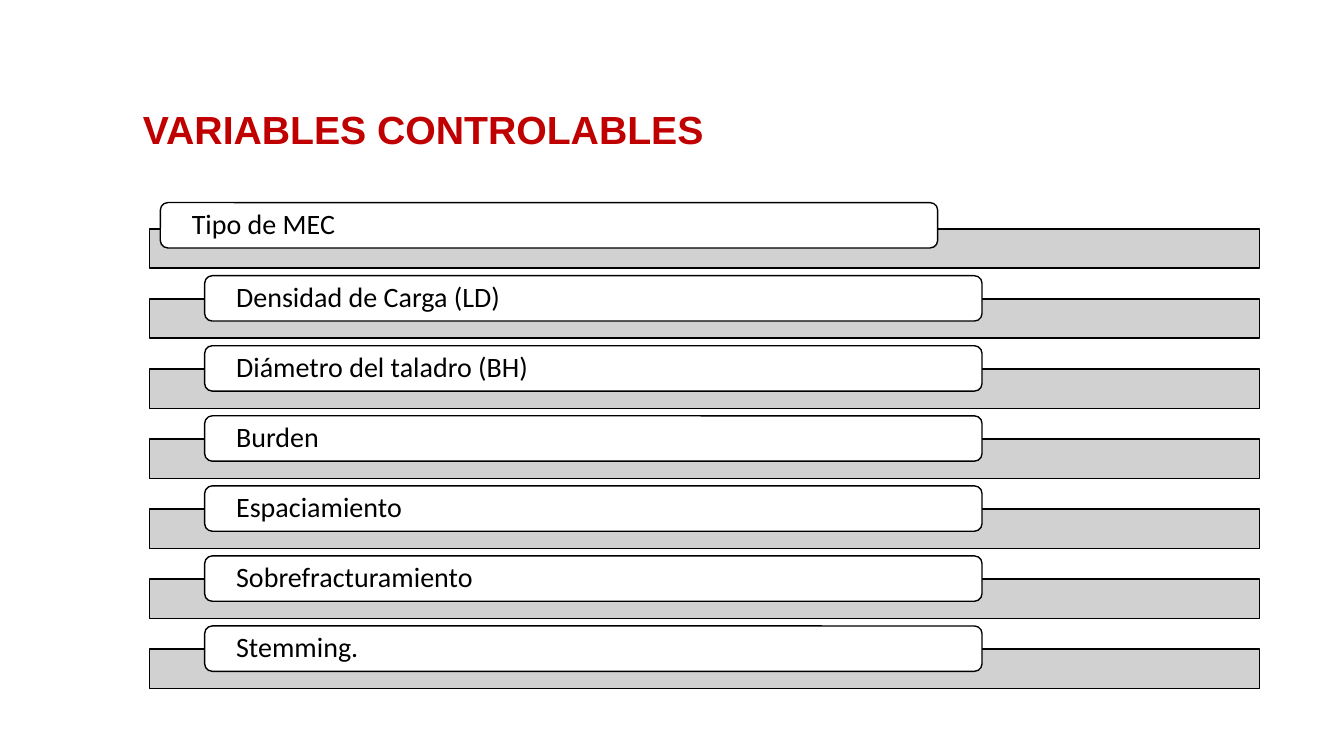
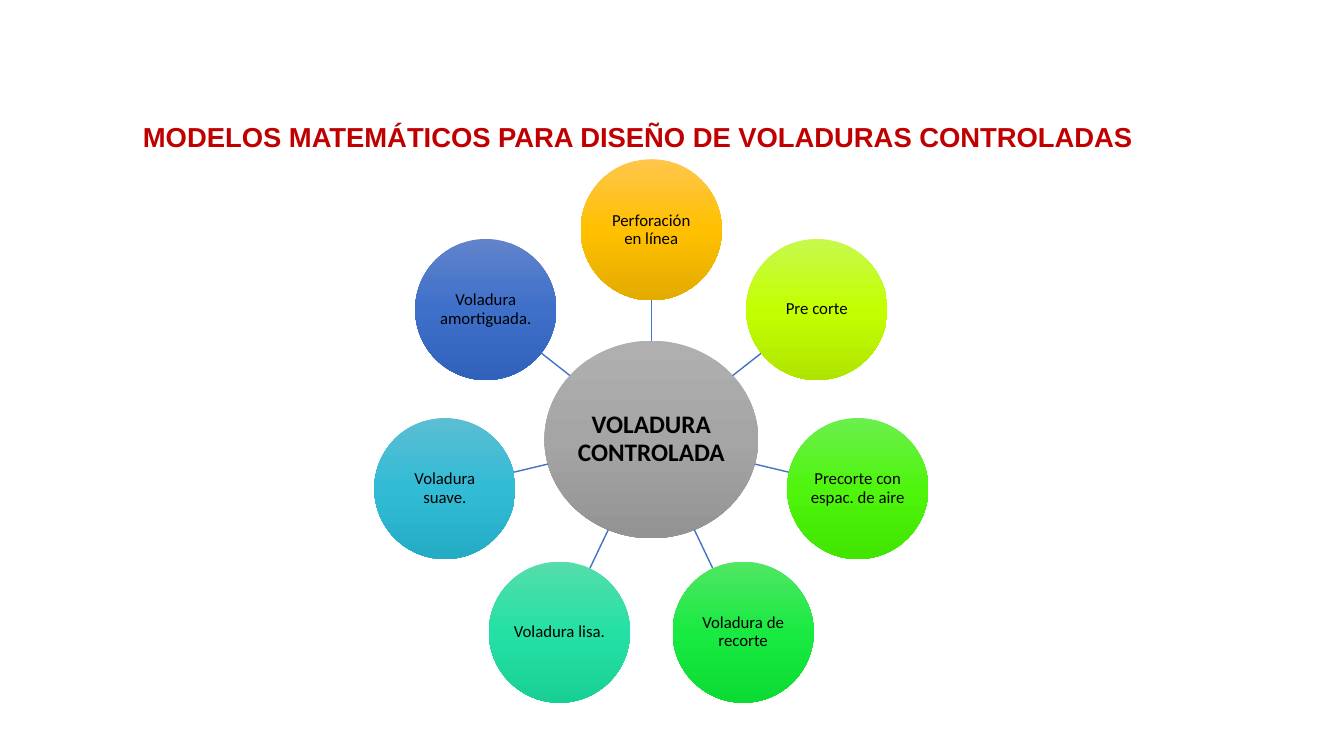
from copy import deepcopy
from dataclasses import dataclass
from math import cos, hypot, pi, sin

from pptx import Presentation
from pptx.dml.color import RGBColor
from pptx.enum.shapes import MSO_CONNECTOR, MSO_SHAPE
from pptx.enum.text import MSO_ANCHOR, PP_ALIGN
from pptx.oxml.ns import qn
from pptx.util import Inches, Pt

BLACK = RGBColor(0x00, 0x00, 0x00)
WHITE = RGBColor(0xFF, 0xFF, 0xFF)
RED = RGBColor(0xC0, 0x00, 0x00)
BAR_GRAY = RGBColor(0xCC, 0xCC, 0xCC)
SPOKE_BLUE = RGBColor(0x44, 0x72, 0xC4)

TITLE_FONT = {"name": "Arial", "bold": True}
PILL_FONT = {"name": "Calibri", "size": Pt(20)}
HUB_FONT = {"name": "Calibri", "size": Pt(18), "bold": True}
NODE_FONT = {"name": "Calibri", "size": Pt(12)}


@dataclass(frozen=True)
class Row:
    text: str
    left: float = 2.03
    rise: float = 0.23


@dataclass(frozen=True)
class Node:
    text: str
    stops: tuple[str, str, str]


@dataclass(frozen=True)
class Oval:
    cx: float
    cy: float
    rx: float
    ry: float

    def edge(self, ux: float, uy: float) -> tuple[float, float]:
        reach = 1 / hypot(ux / self.rx, uy / self.ry)
        return self.cx + ux * reach, self.cy + uy * reach


ROWS = [
    Row("Tipo de MEC", 1.59, 0.26),
    Row("Densidad de Carga (LD)"),
    Row("Diámetro del taladro (BH)"),
    Row("Burden"),
    Row("Espaciamiento"),
    Row("Sobrefracturamiento"),
    Row("Stemming."),
]
HUB = Node("VOLADURA CONTROLADA", ("AFAFAF", "A5A5A5", "939393"))
NODES = [
    Node("Perforación en línea", ("FFC64B", "FFC000", "E3AB00")),
    Node("Pre corte", ("C6F94C", "C4FF01", "AFE400")),
    Node("Precorte con espac. de aire", ("6BEF4D", "4FF50D", "41E500")),
    Node("Voladura de recorte", ("51E663", "19EA42", "0CDB34")),
    Node("Voladura lisa.", ("55DDAB", "25E0A4", "18D095")),
    Node("Voladura suave.", ("5BBED4", "32BBD5", "24ACC5")),
    Node("Voladura amortiguada.", ("6183CB", "3E70CA", "3062BB")),
]


def write(sp, text: str, font: dict, color: RGBColor, align, anchor, spacing: float = 0.9):
    tf = sp.text_frame
    tf.word_wrap = True
    tf.vertical_anchor = anchor
    p = tf.paragraphs[0]
    p.alignment = align
    p.line_spacing = spacing
    r = p.add_run()
    r.text = text
    for key, value in font.items():
        setattr(r.font, key, value)
    r.font.color.rgb = color
    return p


def set_insets(sp, side: float, top: float) -> None:
    insets = {"margin_left": side, "margin_right": side, "margin_top": top, "margin_bottom": top}
    for key, value in insets.items():
        setattr(sp.text_frame, key, Inches(value))


def add_title(s, text: str, size: float, spacing: float) -> None:
    sp = s.shapes.add_textbox(Inches(0.32), Inches(0.94), Inches(11.76), Inches(0.62))
    font = TITLE_FONT | {"size": Pt(size)}
    p = write(sp, text, font, RED, PP_ALIGN.JUSTIFY, MSO_ANCHOR.BOTTOM, spacing)
    pPr = p._p.get_or_add_pPr()
    pPr.set("marL", str(Inches(1)))
    pPr.set("indent", "0")


def add_box(s, kind, left: float, top: float, width: float, height: float, color: RGBColor):
    sp = s.shapes.add_shape(kind, Inches(left), Inches(top), Inches(width), Inches(height))
    sp.shadow.inherit = False
    sp.fill.solid()
    sp.fill.fore_color.rgb = color
    sp.line.color.rgb = BLACK
    sp.line.width = Pt(1)
    return sp


def add_row(s, row: Row, top: float) -> None:
    bar = add_box(s, MSO_SHAPE.RECTANGLE, 1.48, top, 11.01, 0.39, BAR_GRAY)
    color = bar._element.spPr.find(qn("a:solidFill"))[0]
    color.append(color.makeelement(qn("a:alpha"), {"val": "90000"}))
    pill = add_box(s, MSO_SHAPE.ROUNDED_RECTANGLE, row.left, top - row.rise, 7.71, 0.45, WHITE)
    set_insets(pill, 0.29, 0)
    write(pill, row.text, PILL_FONT, BLACK, PP_ALIGN.LEFT, MSO_ANCHOR.MIDDLE)


def add_oval(s, oval: Oval, node: Node, font: dict) -> None:
    sp = s.shapes.add_shape(
        MSO_SHAPE.OVAL,
        Inches(oval.cx - oval.rx),
        Inches(oval.cy - oval.ry),
        Inches(2 * oval.rx),
        Inches(2 * oval.ry),
    )
    sp.shadow.inherit = False
    sp.line.fill.background()
    sp.fill.gradient()
    sp.fill.gradient_angle = 270
    stop_list = sp._element.spPr.find(qn("a:gradFill")).find(qn("a:gsLst"))
    stop_list.insert(1, deepcopy(stop_list[0]))
    for stop, position, color in zip(sp.fill.gradient_stops, (0, 0.5, 1), node.stops):
        stop.position = position
        stop.color.rgb = RGBColor.from_string(color)
    set_insets(sp, 0.01, 0.01)
    write(sp, node.text, font, BLACK, PP_ALIGN.CENTER, MSO_ANCHOR.MIDDLE)


def add_spoke(s, start: Oval, end: Oval) -> None:
    dx, dy = end.cx - start.cx, end.cy - start.cy
    length = hypot(dx, dy)
    ux, uy = dx / length, dy / length
    points = (*start.edge(ux, uy), *end.edge(-ux, -uy))
    line = s.shapes.add_connector(MSO_CONNECTOR.STRAIGHT, *(Inches(v) for v in points))
    line.line.color.rgb = SPOKE_BLUE
    line.line.width = Pt(1)
    spPr = line._element.spPr
    spPr.append(spPr.makeelement(qn("a:effectLst"), {}))


def build_variables(s) -> None:
    add_title(s, "VARIABLES CONTROLABLES", 28, 1)
    for i, row in enumerate(ROWS):
        add_row(s, row, 2.27 + i * 4.17 / 6)


def build_models(s) -> None:
    add_title(s, "MODELOS MATEMÁTICOS PARA DISEÑO DE VOLADURAS CONTROLADAS", 19.6, 0.8)
    hub = Oval(6.46, 4.36, 1.06, 0.98)
    add_oval(s, hub, HUB, HUB_FONT)
    for i, node in enumerate(NODES):
        angle = 2 * pi * i / len(NODES)
        oval = Oval(6.46 + 2.1 * sin(angle), 4.38 - 2.1 * cos(angle), 0.7, 0.7)
        add_spoke(s, hub, oval)
        add_oval(s, oval, node, NODE_FONT)


def main() -> None:
    prs = Presentation()
    prs.slide_width = Inches(13.33)
    prs.slide_height = Inches(7.5)
    for build in (build_variables, build_models):
        build(prs.slides.add_slide(prs.slide_layouts[6]))
    prs.save("out.pptx")


if __name__ == "__main__":
    main()
